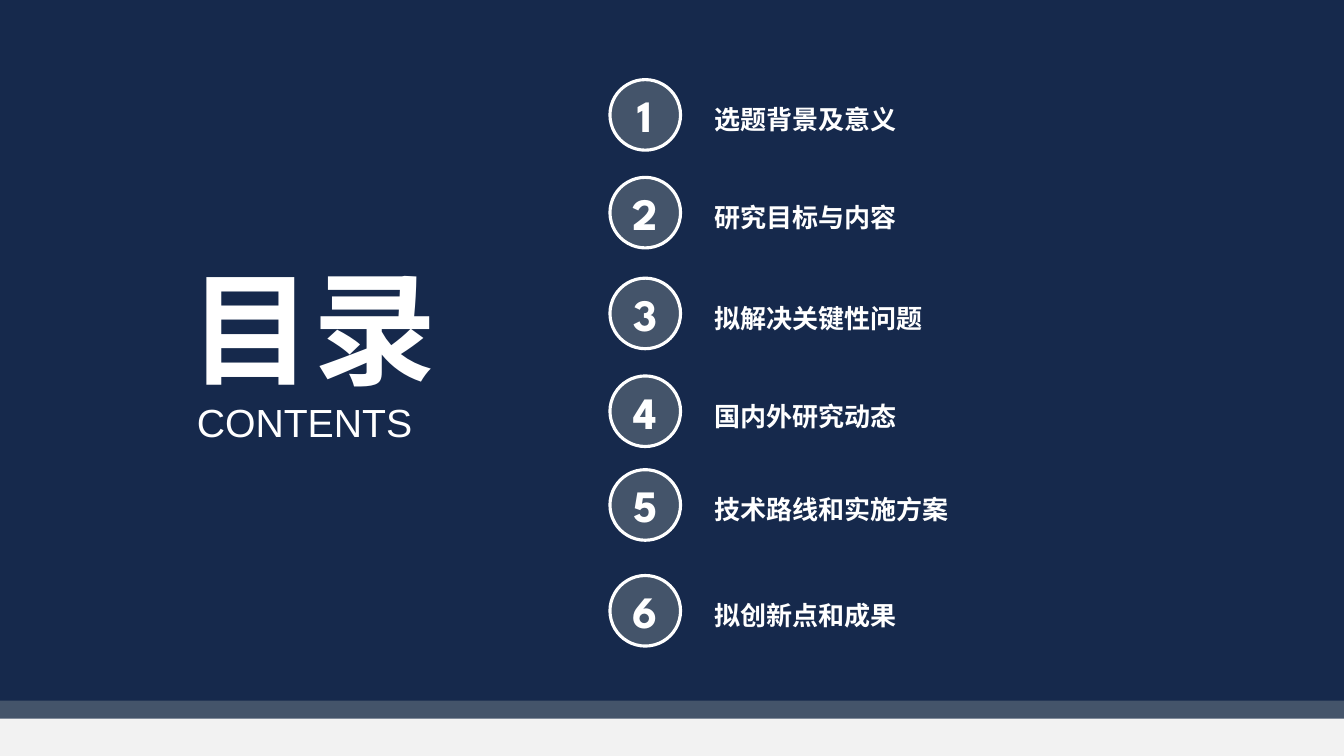
"""Build a contents slide with a large title and six numbered topics."""
from lxml.etree import SubElement
from pptx import Presentation
from pptx.dml.color import RGBColor
from pptx.enum.shapes import MSO_SHAPE as Shape
from pptx.enum.text import MSO_ANCHOR as Anchor, MSO_AUTO_SIZE as AutoSize, PP_ALIGN as Align
from pptx.oxml.ns import qn
from pptx.util import Emu, Pt

PX = 9144
WIDTH, HEIGHT = 1333, 750
NAVY, SLATE, PALE, WHITE = "16294C", "44546A", "F2F2F2", "FFFFFF"
CHINESE_FONT = "Noto Sans CJK SC"

BANDS = [(0, 750, NAVY), (695, 55, SLATE), (713, 41, PALE)]
HEADINGS = [
    ("CONTENTS", (184, 390, 236, 57), 28, "Arial", False),
    ("目录", (177, 245, 267, 158), 88, CHINESE_FONT, True),
]
TOPICS = [
    (79, "选题背景及意义"),
    (176, "研究目标与内容"),
    (276, "拟解决关键性问题"),
    (373, "国内外研究动态"),
    (466, "技术路线和实施方案"),
    (571, "拟创新点和成果"),
]
CIRCLE_LEFT, CIRCLE_SIZE = 605, 70
TOPIC_LEFT, TOPIC_DROP, TOPIC_HEIGHT = 699, 19, 41
CHARACTER_WIDTH, SIDE_INSETS = 26, 20


def color(value):
    return RGBColor.from_string(value)


def lengths(*pixels):
    return [Emu(pixel * PX) for pixel in pixels]


def add_figure(slide, kind, place, fill):
    figure = slide.shapes.add_shape(kind, *lengths(*place))
    figure.shadow.inherit = False
    figure.fill.solid()
    figure.fill.fore_color.rgb = color(fill)
    figure.line.fill.background()
    return figure


def write(frame, text, size, font, bold, align):
    para = frame.paragraphs[0]
    para.text = text
    para.alignment = align
    para.font.size = Pt(size)
    para.font.name = font
    para.font.bold = bold
    para.font.color.rgb = color(WHITE)
    defaults = para._p.pPr.find(qn("a:defRPr"))
    SubElement(defaults, qn("a:ea")).set("typeface", CHINESE_FONT)


def add_text(slide, text, place, size, font, bold, align):
    frame = slide.shapes.add_textbox(*lengths(*place)).text_frame
    frame.word_wrap = False
    frame.auto_size = AutoSize.SHAPE_TO_FIT_TEXT
    write(frame, text, size, font, bold, align)


def add_topic(slide, number, top, title):
    circle = add_figure(slide, Shape.OVAL, (CIRCLE_LEFT, top, CIRCLE_SIZE, CIRCLE_SIZE), SLATE)
    circle.line.color.rgb = color(WHITE)
    circle.line.width = Pt(2.25)
    circle.text_frame.vertical_anchor = Anchor.MIDDLE
    write(circle.text_frame, str(number), 32, "League Spartan", True, Align.CENTER)
    width = len(title) * CHARACTER_WIDTH + SIDE_INSETS
    place = (TOPIC_LEFT, top + TOPIC_DROP, width, TOPIC_HEIGHT)
    add_text(slide, title, place, 18.6, "Arial", True, Align.LEFT)


def main():
    deck = Presentation()
    deck.slide_width, deck.slide_height = lengths(WIDTH, HEIGHT)
    slide = deck.slides.add_slide(deck.slide_layouts[6])
    for top, height, fill in BANDS:
        add_figure(slide, Shape.RECTANGLE, (0, top, WIDTH, height), fill)
    for text, place, size, font, bold in HEADINGS:
        add_text(slide, text, place, size, font, bold, Align.CENTER)
    for number, (top, title) in enumerate(TOPICS, 1):
        add_topic(slide, number, top, title)
    deck.save("out.pptx")


if __name__ == "__main__":
    main()
